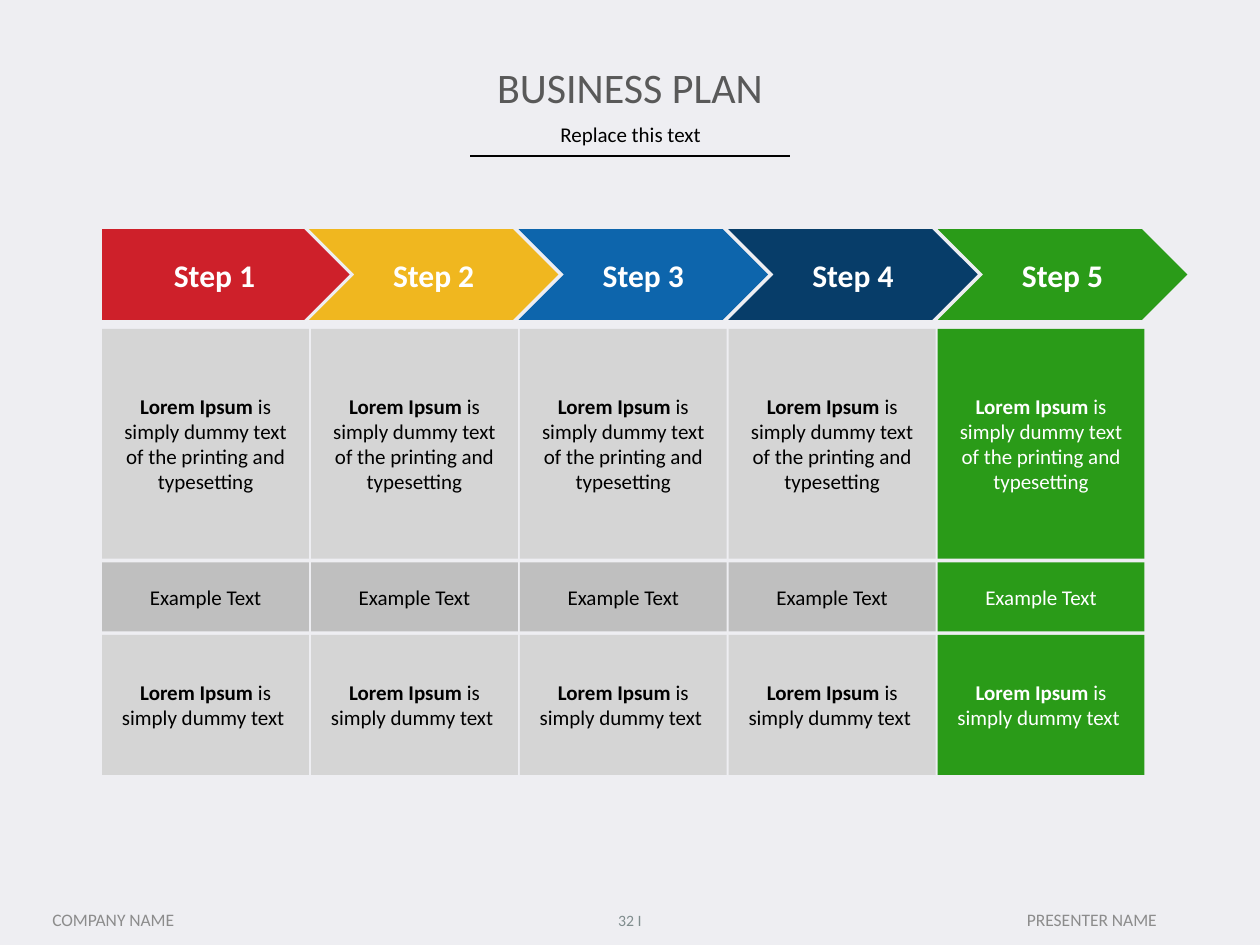
from lxml.etree import SubElement
from pptx import Presentation
from pptx.dml.color import RGBColor
from pptx.enum.shapes import MSO_CONNECTOR, MSO_SHAPE
from pptx.enum.text import MSO_ANCHOR, MSO_AUTO_SIZE, PP_ALIGN
from pptx.oxml.ns import qn
from pptx.util import Pt


def color(value):
    return RGBColor.from_string(value)


class SlideBuilder:
    font_name = "Calibri"

    def __init__(self, slide, background):
        self.slide = slide
        slide.background.fill.solid()
        slide.background.fill.fore_color.rgb = color(background)

    def set_text(self, shape, parts, size, ink, bold=False, anchor=MSO_ANCHOR.MIDDLE):
        frame = shape.text_frame
        frame.word_wrap = True
        frame.auto_size = MSO_AUTO_SIZE.NONE
        frame.vertical_anchor = anchor
        para = frame.paragraphs[0]
        para.alignment = PP_ALIGN.CENTER
        para.font.name = self.font_name
        para.font.size = Pt(size)
        para.font.bold = bold
        para.font.color.rgb = color(ink)
        for text, strong in parts:
            span = para.add_run()
            span.text = text
            if strong:
                span.font.bold = True
        return para

    def placeholder(self, index, text, bounds, size, ink, anchor):
        holder = self.slide.placeholders[index]
        holder.left, holder.top, holder.width, holder.height = map(Pt, bounds)
        return self.set_text(holder, [(text, False)], size, ink, anchor=anchor)

    def label(self, text, bounds, size, ink):
        box = self.slide.shapes.add_textbox(*map(Pt, bounds))
        self.set_text(box, [(text, False)], size, ink)

    def block(self, preset, bounds, fill, parts, size, ink, bold=False):
        shape = self.slide.shapes.add_shape(preset, *map(Pt, bounds))
        shape.shadow.inherit = False
        shape.fill.solid()
        shape.fill.fore_color.rgb = color(fill)
        shape.line.fill.background()
        self.set_text(shape, parts, size, ink, bold)

    def rule(self, left, right, top, ink):
        line = self.slide.shapes.add_connector(
            MSO_CONNECTOR.STRAIGHT, Pt(left), Pt(top), Pt(right), Pt(top))
        line.line.width = Pt(1)
        line.line.color.rgb = color(ink)
        SubElement(line._element.spPr, qn("a:effectLst"))


def main():
    deck = Presentation()
    deck.slide_width, deck.slide_height = Pt(720), Pt(540)
    page = SlideBuilder(deck.slides.add_slide(deck.slide_layouts[0]), "EEEEF2")

    page.placeholder(0, "BUSINESS PLAN", (49.7, 31.7, 620.6, 36), 24, "595959",
                     MSO_ANCHOR.MIDDLE)
    subtitle = page.placeholder(1, "Replace this text", (49.7, 68.4, 621.4, 19.4),
                                12, "000000", MSO_ANCHOR.TOP)
    subtitle.line_spacing = 0.8
    subtitle.space_before = Pt(0)
    page.rule(268.6, 451.4, 89.3, "000000")

    page.label("COMPANY NAME", (12.2, 510.5, 105.1, 30.2), 10, "8C8C8C")
    page.label("32 I", (342, 511.2, 36, 28.8), 9, "7F8C8D")
    page.label("PRESENTER NAME", (540, 510.5, 167.8, 30.2), 10, "8C8C8C")

    highlight = "2A9B18"
    step_fills = ["CE202A", "F0B71F", "0D65AC", "073D69", highlight]
    lead = ("Lorem Ipsum ", True)
    rows = [
        (131.4, "D5D5D5",
         [lead, ("is simply dummy text of the printing and typesetting", False)]),
        (39.5, "BFBFBF", [("Example Text", False)]),
        (80, "D5D5D5", [lead, ("is simply dummy text ", False)]),
    ]
    grid_left, grid_top, cell_width, cell_pitch, row_gap = 58.4, 187.9, 118.2, 119.35, 2
    step_top, step_height, step_pitch = 130.9, 51.9, 119.8
    last = len(step_fills) - 1

    for column, step_fill in enumerate(step_fills):
        if column == 0:
            preset, left, width = MSO_SHAPE.PENTAGON, grid_left, 141.4
        else:
            preset, width = MSO_SHAPE.CHEVRON, 142.6
            left = 176.5 + (column - 1) * step_pitch
        page.block(preset, (left, step_top, width, step_height), step_fill,
                   [(f"Step {column + 1}", False)], 18, "FFFFFF", bold=True)

        cell_left, top = grid_left + column * cell_pitch, grid_top
        for height, row_fill, parts in rows:
            fill, ink = (highlight, "FFFFFF") if column == last else (row_fill, "000000")
            page.block(MSO_SHAPE.RECTANGLE, (cell_left, top, cell_width, height),
                       fill, parts, 12, ink)
            top += height + row_gap

    deck.save("out.pptx")


if __name__ == "__main__":
    main()
